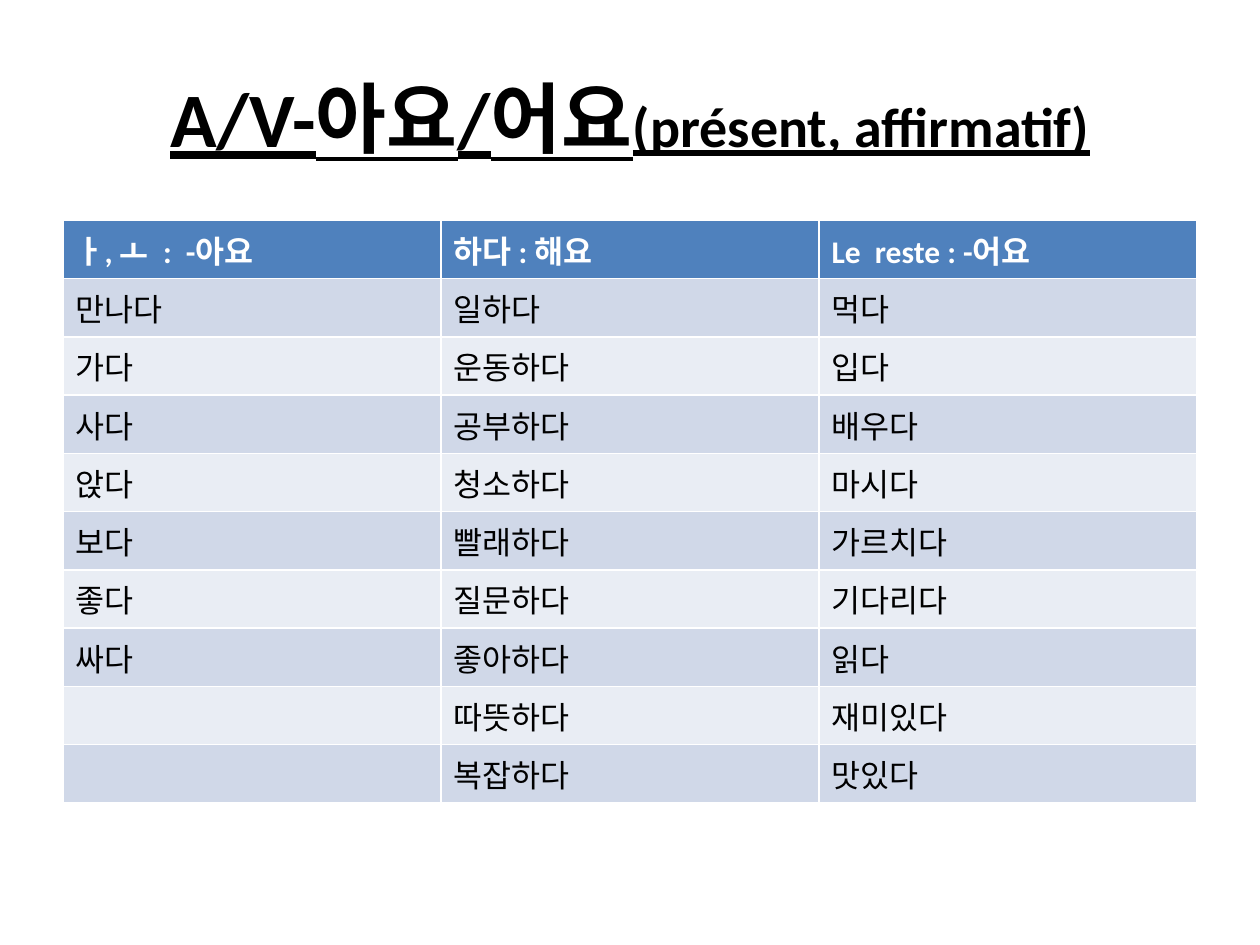
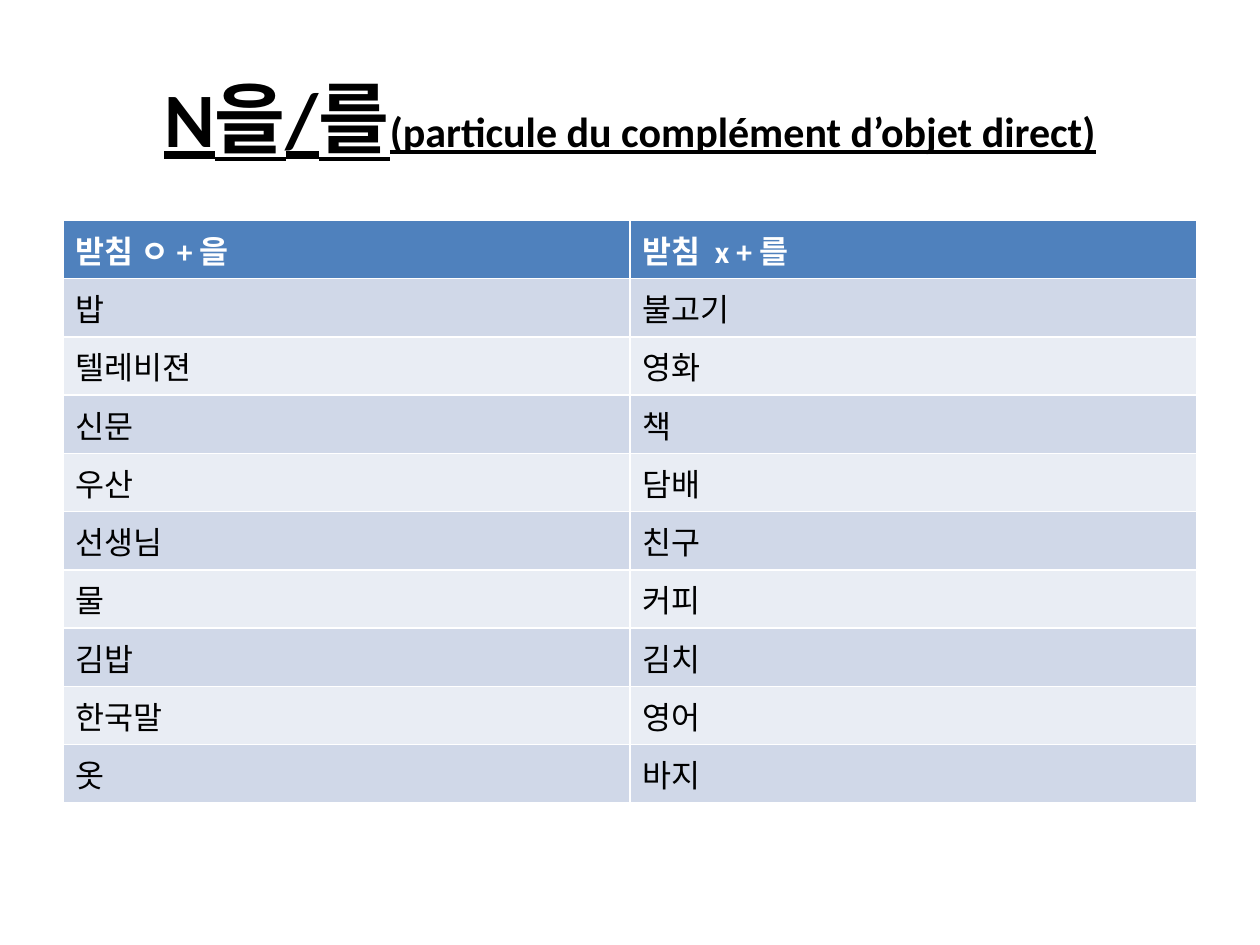
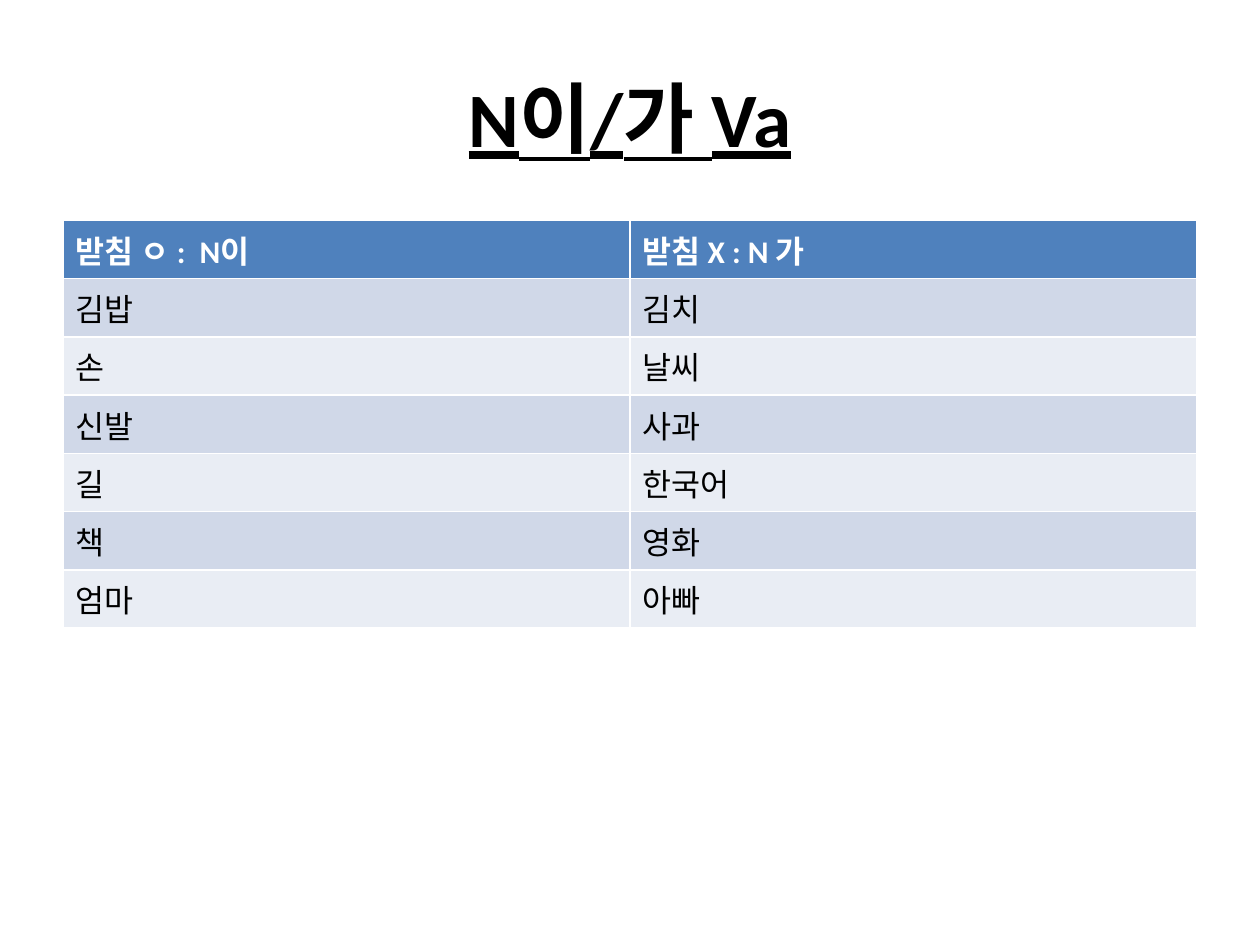
from pptx import Presentation
from pptx import util as u
from pptx.dml.color import RGBColor
from pptx.enum import text

BLACK = RGBColor(0x00, 0x00, 0x00)
WHITE = RGBColor(0xFF, 0xFF, 0xFF)
HEADER_BLUE = RGBColor(0x4F, 0x81, 0xBD)
BANDS = [RGBColor(0xE9, 0xED, 0xF4), RGBColor(0xD0, 0xD8, 0xE8)]
FONT = "Calibri"

deck = Presentation()
deck.slide_width, deck.slide_height = u.Inches(10), u.Inches(7.5)

# Shared grid, as shares of the slide
LEFT = int(deck.slide_width * 0.05)
CONTENT_WIDTH = int(deck.slide_width * 0.9)
TITLE_TOP = int(deck.slide_height * 0.04)
TITLE_HEIGHT = deck.slide_height // 6
TABLE_TOP = int(deck.slide_height * 7 / 30)
ROW_HEIGHT = u.Inches(0.41)

# Each lesson: title parts with their sizes, then table rows with the rule first
LESSONS = [
    (
        [("A/V-아요/어요", 44), ("(présent, affirmatif)", 32)],
        [
            ("ㅏ, ㅗ  :  -아요", "하다 : 해요", "Le  reste : -어요"),
            ("만나다", "일하다", "먹다"),
            ("가다", "운동하다", "입다"),
            ("사다", "공부하다", "배우다"),
            ("앉다", "청소하다", "마시다"),
            ("보다", "빨래하다", "가르치다"),
            ("좋다", "질문하다", "기다리다"),
            ("싸다", "좋아하다", "읽다"),
            ("", "따뜻하다", "재미있다"),
            ("", "복잡하다", "맛있다"),
        ],
    ),
    (
        [("N을/를", 44), ("(particule du complément d’objet direct)", 24)],
        [
            ("받침 ㅇ + 을", "받침  x + 를"),
            ("밥", "불고기"),
            ("텔레비젼", "영화"),
            ("신문", "책"),
            ("우산", "담배"),
            ("선생님", "친구"),
            ("물", "커피"),
            ("김밥", "김치"),
            ("한국말", "영어"),
            ("옷", "바지"),
        ],
    ),
    (
        [("N이/가 Va", 44)],
        [
            ("받침 ㅇ :  N이", "받침 X : N 가"),
            ("김밥", "김치"),
            ("손", "날씨"),
            ("신발", "사과"),
            ("길", "한국어"),
            ("책", "영화"),
            ("엄마", "아빠"),
        ],
    ),
]


def style_span(span, size, color, bold):
    span.font.name = FONT
    span.font.size = u.Pt(size)
    span.font.color.rgb = color
    span.font.bold = bold


title_only = deck.slide_layouts.get_by_name("Title Only")
for title_parts, rows in LESSONS:
    page = deck.slides.add_slide(title_only)

    # Title
    title = page.shapes.title
    title.left, title.top = LEFT, TITLE_TOP
    title.width, title.height = CONTENT_WIDTH, TITLE_HEIGHT
    title.text_frame.auto_size = text.MSO_AUTO_SIZE.NONE
    title.text_frame.vertical_anchor = text.MSO_ANCHOR.MIDDLE
    para = title.text_frame.paragraphs[0]
    para.alignment = text.PP_ALIGN.CENTER
    for wording, size in title_parts:
        span = para.add_run()
        span.text = wording
        style_span(span, size, BLACK, True)
        span.font.underline = True

    # Table of examples under each rule
    table = page.shapes.add_table(
        len(rows), len(rows[0]), LEFT, TABLE_TOP, CONTENT_WIDTH, ROW_HEIGHT * len(rows)
    ).table
    for row_number, words in enumerate(rows):
        is_header = row_number == 0
        for column_number, word in enumerate(words):
            cell = table.cell(row_number, column_number)
            cell.fill.solid()
            cell.fill.fore_color.rgb = HEADER_BLUE if is_header else BANDS[row_number % 2]
            if word:
                cell.text_frame.text = word
                span = cell.text_frame.paragraphs[0].runs[0]
                style_span(span, 18, WHITE if is_header else BLACK, is_header)

deck.save("out.pptx")
